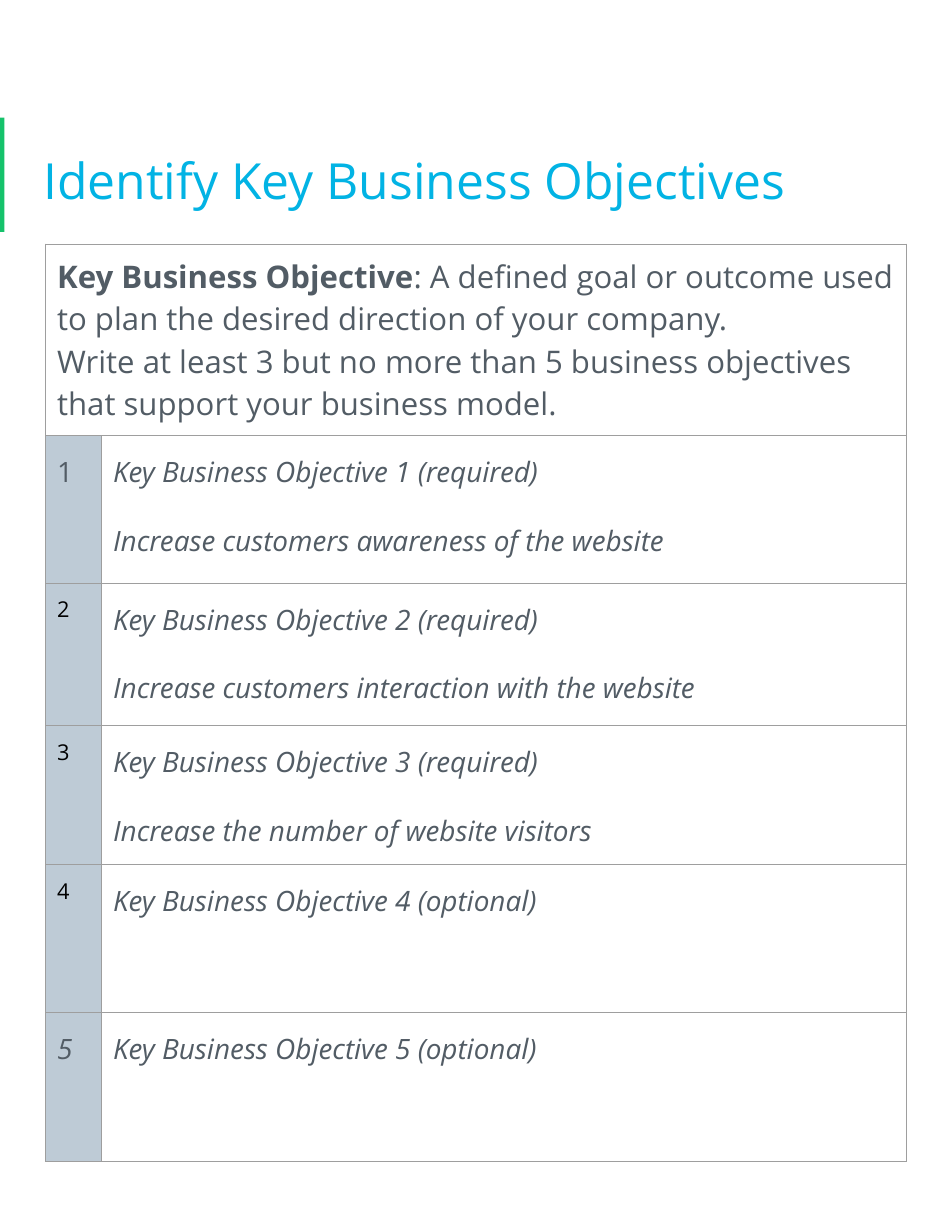
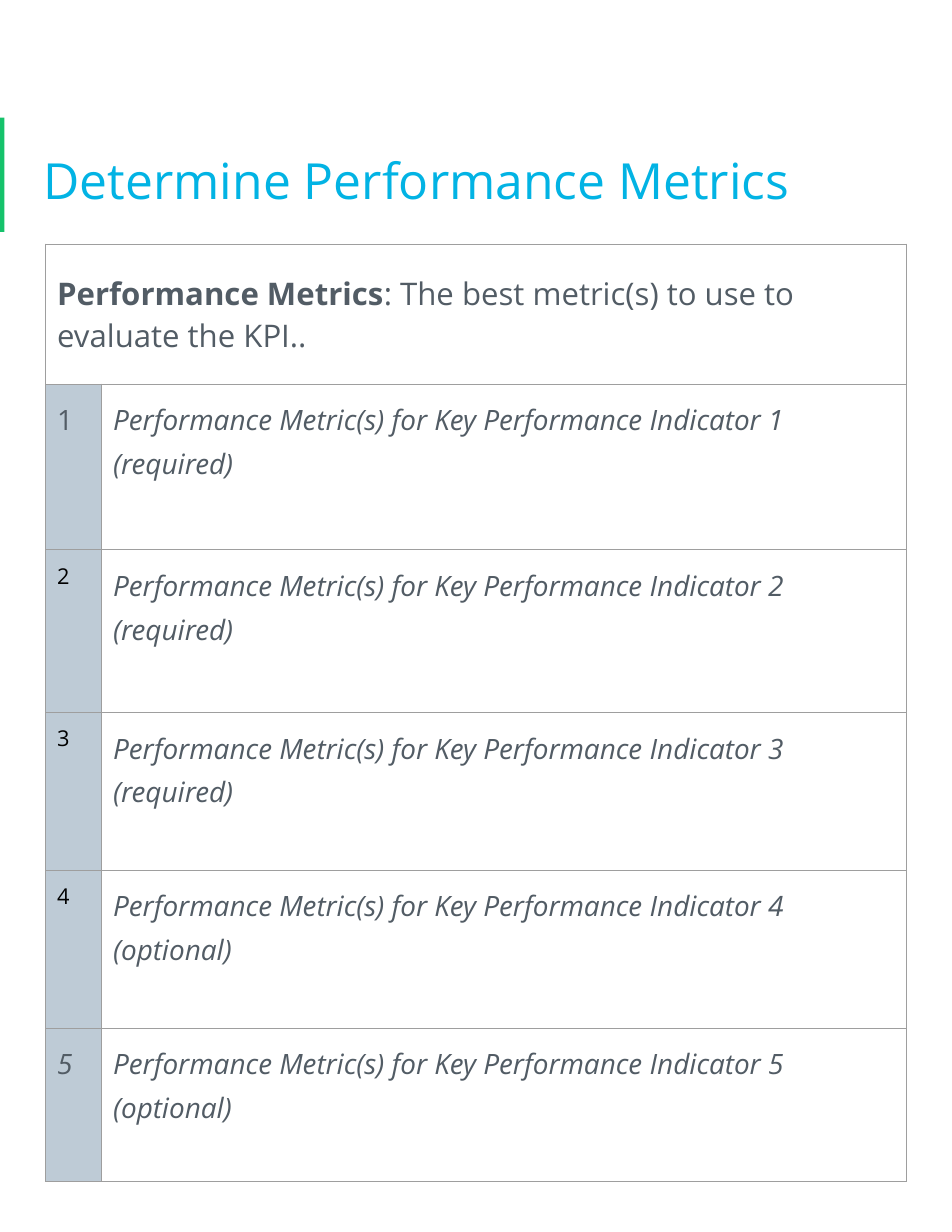
from lxml import etree
from pptx import Presentation
from pptx.dml.color import RGBColor
from pptx.enum import shapes, text
from pptx.oxml.ns import qn
from pptx.util import Inches, Pt

FONT = "Open Sans"
GREEN, BLUE, GREY, BLACK = "15C26B", "02B3E4", "525C65", "000000"
BAND, RULE = "BECBD6", "9E9E9E"
COLS = [0.5, 7.18]
PAD = 0.1

NEEDS = ["required"] * 3 + ["optional"] * 2
GOALS = [
    "Increase customers awareness of the website",
    "Increase customers interaction with the website",
    "Increase the number of website visitors",
]
MARKS = [(18, GREY, False)] + [(14, BLACK, False)] * 3 + [(18, GREY, True)]

PAGES = [
    {
        "title": "Identify Key Business Objectives",
        "term": "Key Business Objective",
        "lines": [
            ": A defined goal or outcome used to plan the desired direction of your company.",
            "Write at least 3 but no more than 5 business objectives that support your business model.",
        ],
        "label": "Key Business Objective",
        "goals": GOALS,
        "rows": [1.71, 1.32, 1.27, 1.24, 1.32, 1.33],
    },
    {
        "title": "Determine Performance Metrics",
        "term": "Performance Metrics",
        "lines": [": The best metric(s) to use to evaluate the KPI.."],
        "label": "Performance Metric(s) for Key Performance Indicator",
        "goals": [],
        "rows": [1.25, 1.48, 1.45, 1.41, 1.41, 1.37],
    },
]


def rgb(code):
    return RGBColor.from_string(code)


def style(par, size, color, italic=False, space=1.15, after=0):
    font = par.font
    font.name, font.size, font.italic = FONT, Pt(size), italic
    font.bold = False
    font.color.rgb = rgb(color)
    par.line_spacing = space
    par.space_after = Pt(after)


def pad(box):
    box.margin_left = box.margin_right = Inches(PAD)
    box.margin_top = box.margin_bottom = Inches(PAD)


def frame(cell, fill):
    pad(cell)
    props = cell._tc.get_or_add_tcPr()
    for side in ("lnL", "lnR", "lnT", "lnB"):
        line = etree.SubElement(props, qn("a:" + side), w=str(Pt(0.75)))
        solid = etree.SubElement(line, qn("a:solidFill"))
        etree.SubElement(solid, qn("a:srgbClr"), val=RULE)
    if fill:
        cell.fill.solid()
        cell.fill.fore_color.rgb = rgb(fill)
    else:
        cell.fill.background()


def add_title(slide, title):
    bar = slide.shapes.add_shape(
        shapes.MSO_SHAPE.RECTANGLE, 0, Inches(1.05), Inches(0.04), Inches(1.02))
    bar.shadow.inherit = False
    bar.fill.solid()
    bar.fill.fore_color.rgb = rgb(GREEN)
    bar.line.fill.background()
    box = slide.shapes.add_textbox(
        Inches(0.29), Inches(0.95), Inches(7.92), Inches(1.22)).text_frame
    box.word_wrap = True
    box.vertical_anchor = text.MSO_ANCHOR.MIDDLE
    pad(box)
    box.text = title
    style(box.paragraphs[0], 32, BLUE)


def add_head(cell, term, lines):
    cell.vertical_anchor = text.MSO_ANCHOR.MIDDLE
    par = cell.text_frame.paragraphs[0]
    style(par, 20, GREY, space=1.0, after=16)
    run = par.add_run()
    run.text = term
    run.font.bold = True
    for i, line in enumerate(lines):
        if i:
            par.add_line_break()
        par.add_run().text = line


def add_grid(slide, page):
    rows = page["rows"]
    grid = slide.shapes.add_table(
        len(rows), len(COLS), Inches(0.41), Inches(2.18),
        Inches(sum(COLS)), Inches(sum(rows))).table
    grid.first_row = grid.horz_banding = False
    for col, width in zip(grid.columns, COLS):
        col.width = Inches(width)
    for row, height in zip(grid.rows, rows):
        row.height = Inches(height)
    for r in range(len(rows)):
        for c in range(len(COLS)):
            frame(grid.cell(r, c), BAND if r and not c else None)
    grid.cell(0, 0).merge(grid.cell(0, 1))
    add_head(grid.cell(0, 0), page["term"], page["lines"])

    for n, (need, mark) in enumerate(zip(NEEDS, MARKS), 1):
        size, color, italic = mark
        cell = grid.cell(n, 0)
        cell.text = str(n)
        large = size == 18
        style(cell.text_frame.paragraphs[0], size, color, italic,
              1.15 if large else 1.0, 16 if large else 0)
        body = grid.cell(n, 1).text_frame
        body.text = "\n".join([f"{page['label']} {n} ({need})"] + page["goals"][n - 1:n])
        for par in body.paragraphs:
            style(par, 18, GREY, True, after=16)


def main():
    deck = Presentation()
    deck.slide_width, deck.slide_height = Inches(8.5), Inches(11)
    for page in PAGES:
        slide = deck.slides.add_slide(deck.slide_layouts[6])
        add_title(slide, page["title"])
        add_grid(slide, page)
    deck.save("out.pptx")


if __name__ == "__main__":
    main()
